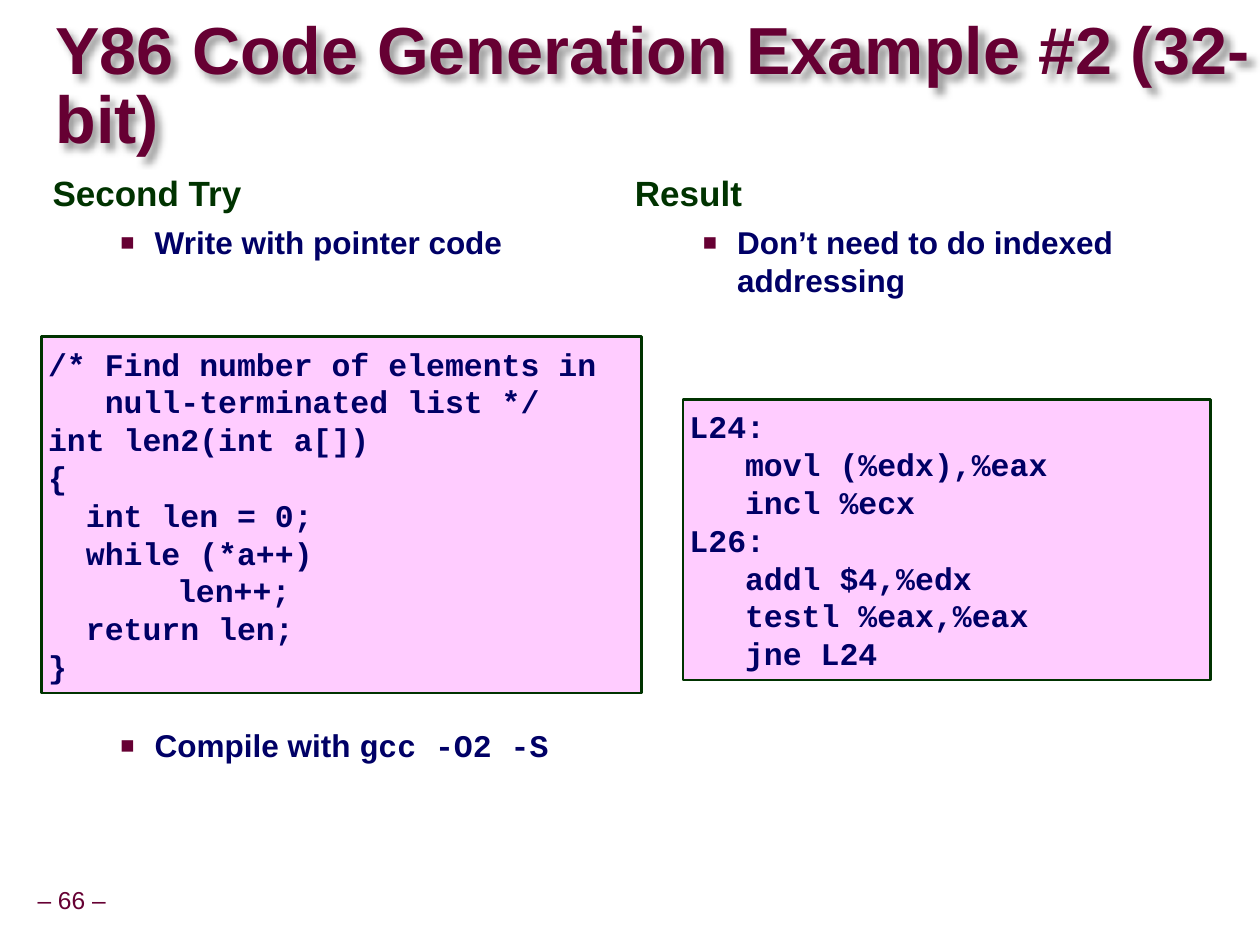
from lxml.etree import SubElement
from pptx import Presentation
from pptx.dml.color import RGBColor
from pptx.enum.shapes import MSO_SHAPE
from pptx.enum.text import MSO_ANCHOR, PP_ALIGN
from pptx.oxml import parse_xml
from pptx.oxml.ns import nsdecls, qn
from pptx.util import Cm, Pt

MAROON, GREEN, NAVY, PINK = "660033", "003300", "000066", "FFCCFF"


def rgb(value):
    return RGBColor.from_string(value)


def add_run(p, text, size, color, font="Arial", bold=True):
    r = p.add_run()
    r.text = text
    r.font.size = Pt(size)
    r.font.name = font
    r.font.bold = bold
    r.font.color.rgb = rgb(color)


prs = Presentation()
prs.slide_width, prs.slide_height = Cm(25.4), Cm(19.05)
s = prs.slides.add_slide(prs.slide_layouts[6])

# Page number
sp = s.shapes.add_textbox(Cm(0.58), Cm(17.78), Cm(1.73), Cm(0.81))
tf = sp.text_frame
tf.word_wrap = False
tf.vertical_anchor = MSO_ANCHOR.MIDDLE
tf.margin_left = tf.margin_right = tf.margin_top = tf.margin_bottom = Cm(0.13)
p = tf.paragraphs[0]
p.alignment = PP_ALIGN.CENTER
p.line_spacing = 0.9
add_run(p, "– 66 –", 14, MAROON, bold=False)

# Title with a soft shadow
sp = s.shapes.add_textbox(Cm(1.12), Cm(0.69), Cm(24.2), Cm(2.16))
sp._element.spPr.append(parse_xml(
    f'<a:effectLst {nsdecls("a")}>'
    '<a:outerShdw blurRad="50800" dist="50800" dir="2700000" algn="tl">'
    '<a:srgbClr val="000000"><a:alpha val="40000"/></a:srgbClr>'
    '</a:outerShdw></a:effectLst>'))
tf = sp.text_frame
tf.word_wrap = True
tf.vertical_anchor = MSO_ANCHOR.MIDDLE
tf.margin_left = tf.margin_right = tf.margin_top = tf.margin_bottom = 0
p = tf.paragraphs[0]
p.line_spacing = Pt(39.4)
add_run(p, "Y86 Code Generation Example #2 (32-bit)", 38, MAROON)

# Two columns: left, heading, bullets as (space before, runs)
columns = [
    (0.81, "Second Try", [
        (4.7, [("Write with pointer code", "Arial")]),
        (265.7, [("Compile with ", "Arial"), ("gcc -O2 -S", "Courier New")]),
    ]),
    (12.55, "Result", [
        (4.7, [("Don’t need to do indexed addressing", "Arial")]),
    ]),
]
for left, heading, bullets in columns:
    sp = s.shapes.add_textbox(Cm(left), Cm(3.4), Cm(11.33), Cm(14.5))
    tf = sp.text_frame
    tf.word_wrap = True
    p = tf.paragraphs[0]
    p.line_spacing = 0.95
    add_run(p, heading, 20, GREEN)
    for space, runs in bullets:
        p = tf.add_paragraph()
        p.level = 1
        pPr = p._p.get_or_add_pPr()
        pPr.set("marL", str(Cm(2.06)))
        pPr.set("indent", str(Cm(-0.69)))
        SubElement(SubElement(pPr, qn("a:buClr")), qn("a:srgbClr"), val=MAROON)
        SubElement(pPr, qn("a:buSzPct"), val="75000")
        SubElement(pPr, qn("a:buFont"), typeface="Arial")
        SubElement(pPr, qn("a:buChar"), char="■")
        p.line_spacing = Pt(21.7)
        p.space_before = Pt(space)
        for text, font in runs:
            add_run(p, text, 18, NAVY, font)

# Code boxes: left, top, width, height, tab stop, lines
code_boxes = [
    (0.84, 6.78, 12.09, 7.19, 2.6, [
        "/* Find number of elements in",
        "   null-terminated list */",
        "int len2(int a[])",
        "{",
        "  int len = 0;",
        "  while (*a++)",
        "\tlen++;",
        "  return len;",
        "}",
    ]),
    (13.77, 8.05, 10.64, 5.66, 1.12, [
        "L24:",
        "\tmovl (%edx),%eax",
        "\tincl %ecx",
        "L26:",
        "\taddl $4,%edx",
        "\ttestl %eax,%eax",
        "\tjne L24",
    ]),
]
for left, top, width, height, tab, lines in code_boxes:
    sp = s.shapes.add_shape(MSO_SHAPE.RECTANGLE, Cm(left), Cm(top), Cm(width), Cm(height))
    sp.shadow.inherit = False
    sp.fill.solid()
    sp.fill.fore_color.rgb = rgb(PINK)
    sp.line.color.rgb = rgb(GREEN)
    sp.line.width = Pt(1.5)
    tf = sp.text_frame
    tf.word_wrap = True
    tf.vertical_anchor = MSO_ANCHOR.MIDDLE
    tf.margin_left = tf.margin_right = tf.margin_top = tf.margin_bottom = Cm(0.13)
    for i, line in enumerate(lines):
        p = tf.add_paragraph() if i else tf.paragraphs[0]
        tabs = SubElement(p._p.get_or_add_pPr(), qn("a:tabLst"))
        SubElement(tabs, qn("a:tab"), pos=str(Cm(tab)), algn="l")
        p.alignment = PP_ALIGN.LEFT
        p.line_spacing = Pt(21.6)
        add_run(p, line, 18, NAVY, "Courier New")

prs.save("out.pptx")
